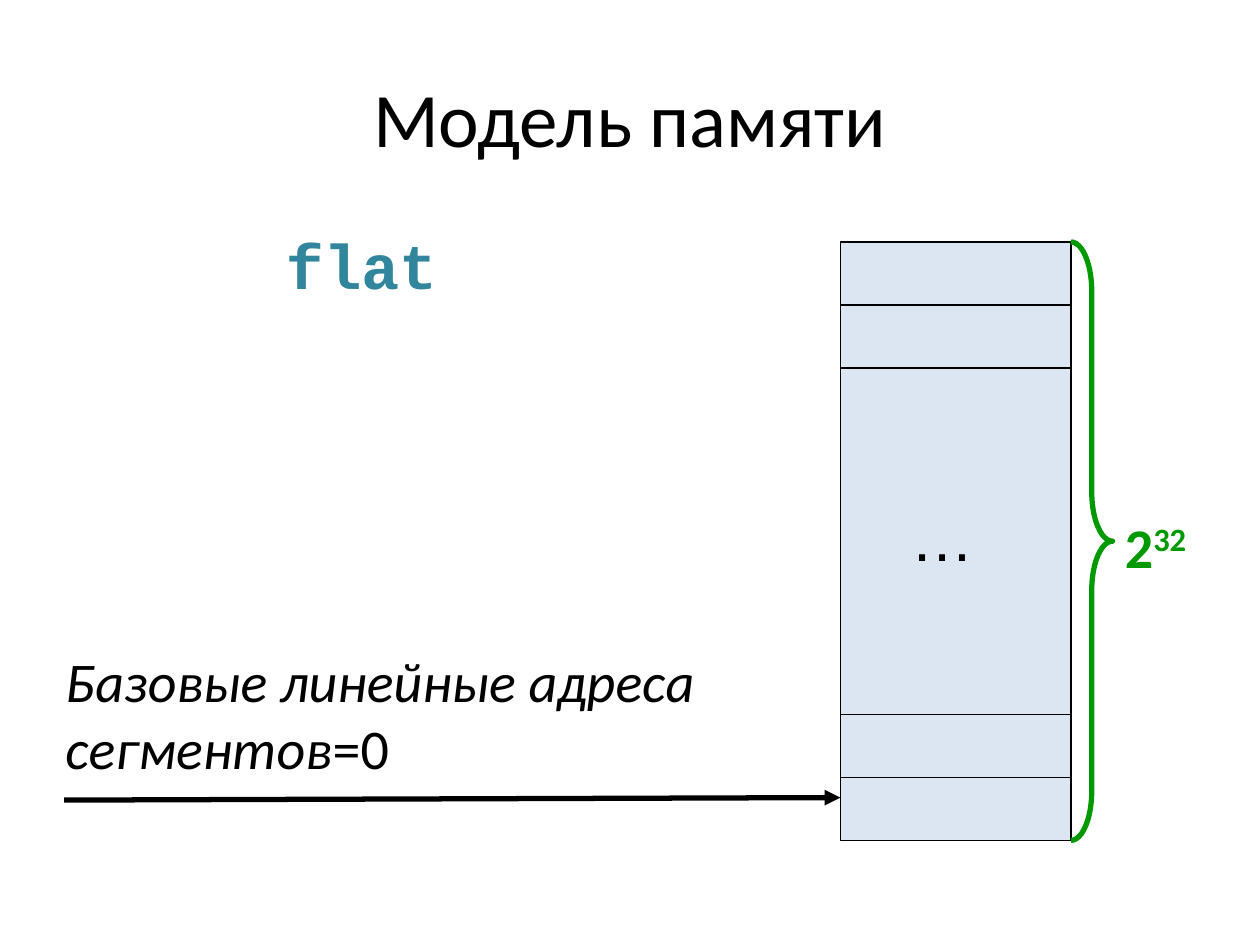
from lxml.etree import SubElement
from pptx import Presentation
from pptx.dml.color import RGBColor
from pptx.enum.shapes import MSO_CONNECTOR, MSO_SHAPE
from pptx.enum.text import MSO_ANCHOR, PP_ALIGN
from pptx.oxml.ns import qn
from pptx.util import Inches, Pt

BLACK, TEAL, GREEN, PALE_BLUE = "000000", "31859C", "009900", "DCE6F2"

TITLE = "Модель памяти"
# box (left, top, width, height), runs (text, overrides), common format
LABELS = [
    ((2.17, 1.75, 2.75, 1.33), [("flat", {})],
     dict(font="Courier New", size=36, color=TEAL, bold=True)),
    ((0.42, 5.08, 6.08, 1.17),
     [("Базовые линейные адреса сегментов", dict(italic=True)), ("=0", {})],
     dict(size=32)),
    ((8.83, 4.02, 0.83, 0.64), [("2", {}), ("32", dict(baseline=30))],
     dict(size=32, color=GREEN, bold=True)),
    ((7.13, 3.91, 0.94, 0.7), [("…", {})], dict(font="Arial", size=36)),
]
MEMORY_LEFT, MEMORY_TOP, MEMORY_WIDTH, MEMORY_HEIGHT = 6.67, 1.92, 1.83, 4.75
MEMORY_RIGHT = MEMORY_LEFT + MEMORY_WIDTH
MEMORY_BOTTOM = MEMORY_TOP + MEMORY_HEIGHT
CELL_HEIGHT = 0.5
BRACE_WIDTH = 0.33


def rgb(color):
    return RGBColor.from_string(color)


def add_run(paragraph, text, font="Calibri", size=32, color=BLACK,
            bold=False, italic=False, baseline=0):
    run = paragraph.add_run()
    run.text = text
    run.font.name = font
    run.font.size = Pt(size)
    run.font.bold = bold
    run.font.italic = italic
    run.font.color.rgb = rgb(color)
    if baseline:
        run.font._element.set("baseline", str(baseline * 1000))


def add_label(slide, box, runs, **style):
    frame = slide.shapes.add_textbox(*map(Inches, box)).text_frame
    frame.word_wrap = True
    for text, overrides in runs:
        add_run(frame.paragraphs[0], text, **{**style, **overrides})


def add_outlined(slide, preset, box, color, width, fill=None):
    shape = slide.shapes.add_shape(preset, *map(Inches, box))
    shape.shadow.inherit = False
    if fill:
        shape.fill.solid()
        shape.fill.fore_color.rgb = rgb(fill)
    else:
        shape.fill.background()
    shape.line.color.rgb = rgb(color)
    shape.line.width = Pt(width)
    return shape


def add_line(slide, start, end, width, arrow=False):
    line = slide.shapes.add_connector(
        MSO_CONNECTOR.STRAIGHT, *map(Inches, start + end))
    line.line.color.rgb = rgb(BLACK)
    line.line.width = Pt(width)
    properties = line._element.spPr
    if arrow:
        SubElement(properties.find(qn("a:ln")), qn("a:tailEnd"), type="triangle")
    SubElement(properties, qn("a:effectLst"))


def main():
    deck = Presentation()
    deck.slide_width, deck.slide_height = Inches(10), Inches(7.5)
    slide = deck.slides.add_slide(deck.slide_layouts[5])

    title = slide.shapes.title
    title.left, title.top = Inches(0.5), Inches(0.3)
    title.width, title.height = Inches(9), Inches(1.25)
    title.text_frame.vertical_anchor = MSO_ANCHOR.MIDDLE
    heading = title.text_frame.paragraphs[0]
    heading.alignment = PP_ALIGN.CENTER
    add_run(heading, TITLE, size=44)

    add_outlined(slide, MSO_SHAPE.RECTANGLE,
                 (MEMORY_LEFT, MEMORY_TOP, MEMORY_WIDTH, MEMORY_HEIGHT),
                 BLACK, 0.75, PALE_BLUE)
    for step in (1, 2):
        offset = step * CELL_HEIGHT
        for y in (MEMORY_TOP + offset, MEMORY_BOTTOM - offset):
            add_line(slide, (MEMORY_LEFT, y), (MEMORY_RIGHT, y), 0.75)

    brace = add_outlined(slide, MSO_SHAPE.RIGHT_BRACE,
                         (MEMORY_RIGHT, MEMORY_TOP, BRACE_WIDTH, MEMORY_HEIGHT),
                         GREEN, 3)
    brace.adjustments[0] = 1.19

    add_line(slide, (0.51, 6.35), (MEMORY_LEFT, 6.33), 3, arrow=True)
    for box, runs, style in LABELS:
        add_label(slide, box, runs, **style)

    deck.save("out.pptx")


if __name__ == "__main__":
    main()
